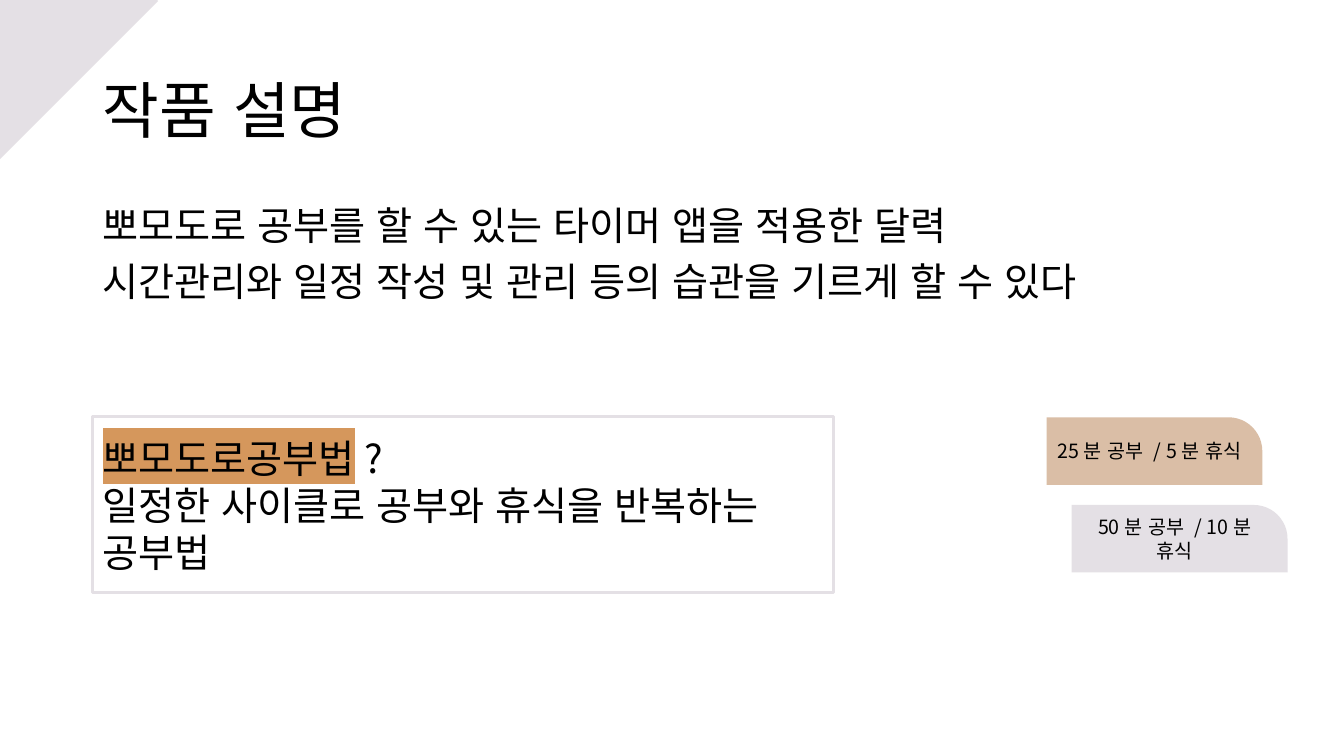
from lxml import etree
from pptx import Presentation
from pptx.dml.color import RGBColor
from pptx.enum.lang import MSO_LANGUAGE_ID as Language
from pptx.enum.shapes import MSO_SHAPE as Shape
from pptx.enum.text import MSO_ANCHOR as Anchor, PP_ALIGN as Align
from pptx.oxml.ns import qn
from pptx.util import Inches, Pt

FONT = "Noto Sans CJK KR"
BLACK = RGBColor(0x00, 0x00, 0x00)
LILAC = RGBColor(0xE4, 0xE0, 0xE5)
SAND = RGBColor(0xDA, 0xBE, 0xA6)
OCHRE = RGBColor(0xD5, 0x97, 0x5C)


def highlight_run(run, color):
    """Mark a run whose font colour is already set."""
    fill = run._r.get_or_add_rPr().find(qn("a:solidFill"))
    highlight = etree.Element(qn("a:highlight"))
    etree.SubElement(highlight, qn("a:srgbClr"), val=str(color))
    fill.addnext(highlight)


def write_text(frame, lines, size, align=Align.LEFT, anchor=Anchor.TOP,
               line_spacing=None, gap=0):
    """Fill a frame; each line is a list of (text, highlight colour or None)."""
    frame.word_wrap = True
    frame.vertical_anchor = anchor
    for index, line in enumerate(lines):
        paragraph = frame.add_paragraph() if index else frame.paragraphs[0]
        paragraph.alignment = align
        paragraph.line_spacing = line_spacing
        if index and gap:
            paragraph.space_before = Pt(gap)
        for text, marker in line:
            run = paragraph.add_run()
            run.text = text
            run.font.size = Pt(size)
            run.font.name = FONT
            run.font.language_id = Language.KOREAN
            run.font.color.rgb = BLACK
            etree.SubElement(run._r.get_or_add_rPr(), qn("a:ea"), typeface=FONT)
            if marker is not None:
                highlight_run(run, marker)


def add_text(slide, left, top, width, height, lines, **text_format):
    box = slide.shapes.add_textbox(
        Inches(left), Inches(top), Inches(width), Inches(height))
    write_text(box.text_frame, lines, **text_format)


def add_panel(slide, kind, left, top, width, height, fill=None, border=None):
    panel = slide.shapes.add_shape(
        kind, Inches(left), Inches(top), Inches(width), Inches(height))
    panel.shadow.inherit = False
    if fill is None:
        panel.fill.background()
    else:
        panel.fill.solid()
        panel.fill.fore_color.rgb = fill
    if border is None:
        panel.line.fill.background()
    else:
        panel.line.color.rgb = border
        panel.line.width = Pt(2.25)
    return panel


def add_cycle_badge(slide, left, top, label, fill):
    badge = add_panel(slide, Shape.ROUND_1_RECTANGLE, left, top, 2.14, 0.67, fill=fill)
    badge.adjustments[0] = 0.5
    write_text(badge.text_frame, [[(label, None)]], size=14,
               align=Align.CENTER, anchor=Anchor.MIDDLE)


def main():
    deck = Presentation()
    deck.slide_width, deck.slide_height = Inches(13.33), Inches(7.5)
    slide = deck.slides.add_slide(deck.slide_layouts[6])

    add_text(slide, 0.92, 2, 11.5, 1.75, [
        [("뽀모도로 공부를 할 수 있는 타이머 앱을 적용한 달력", None)],
        [("시간관리와 일정 작성 및 관리 등의 습관을 기르게 할 수 있다", None)],
    ], size=28, line_spacing=0.9, gap=10)

    definition = add_panel(slide, Shape.RECTANGLE, 0.92, 4.13, 7.35, 1.75, border=LILAC)
    write_text(definition.text_frame, [
        [("뽀모도로공부법", OCHRE), ("?", None)],
        [("일정한 사이클로 공부와 휴식을 반복하는 공부법", None)],
    ], size=28, anchor=Anchor.MIDDLE)

    add_text(slide, 0.92, 0.4, 11.5, 1.45, [[("작품 설명", None)]],
             size=44, anchor=Anchor.MIDDLE, line_spacing=0.9)

    corner = add_panel(slide, Shape.RECTANGLE, -0.87, -0.52, 2.22, 1.54, fill=LILAC)
    corner.rotation = 315

    add_cycle_badge(slide, 10.63, 5.01, "50분 공부 / 10분 휴식", LILAC)
    add_cycle_badge(slide, 10.38, 4.14, "25분 공부 / 5분 휴식", SAND)

    deck.save("out.pptx")


if __name__ == "__main__":
    main()
